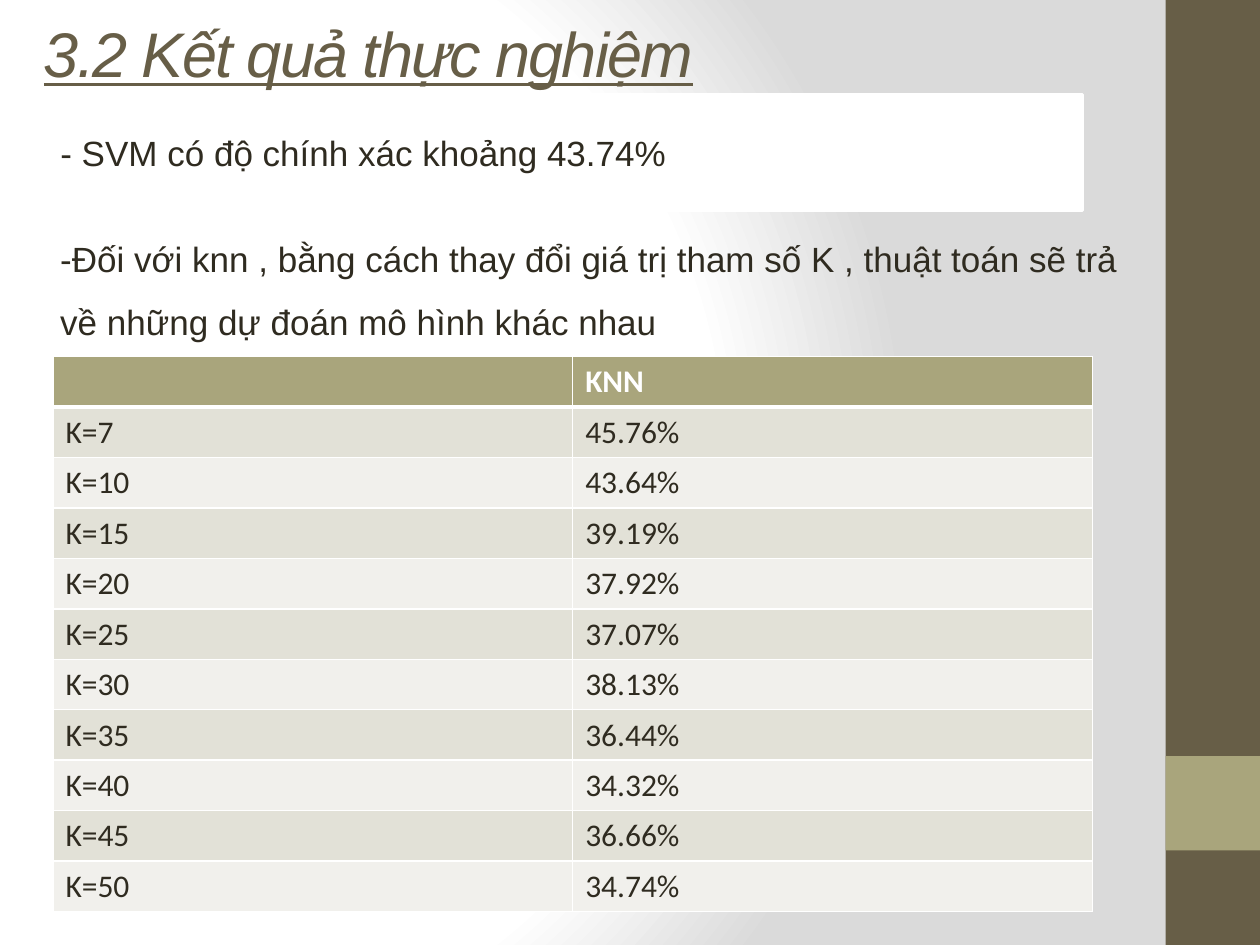
"""Build the slide with the SVM and KNN experiment results."""
from pptx import Presentation
from pptx.dml.color import RGBColor
from pptx.enum.shapes import MSO_SHAPE as Shape
from pptx.enum.text import MSO_ANCHOR as Anchor, PP_ALIGN as Align
from pptx.oxml import parse_xml
from pptx.oxml.ns import nsdecls
from pptx.util import Inches, Pt

BROWN, OLIVE, INK, WHITE = "675E47", "A9A57C", "2F2B20", "FFFFFF"
BANDS = ["E2E1D7", "F1F0EC"]
RESULTS = [
    ("", "KNN"),
    ("K=7", "45.76%"),
    ("K=10", "43.64%"),
    ("K=15", "39.19%"),
    ("K=20", "37.92%"),
    ("K=25", "37.07%"),
    ("K=30", "38.13%"),
    ("K=35", "36.44%"),
    ("K=40", "34.32%"),
    ("K=45", "36.66%"),
    ("K=50", "34.74%"),
]


def color(value):
    return RGBColor.from_string(value)


def style_text(text_frame, text, size, name, value):
    text_frame.text = text
    text_frame.word_wrap = True
    paragraph = text_frame.paragraphs[0]
    paragraph.alignment = Align.LEFT
    for font in [paragraph.font] + [run.font for run in paragraph.runs]:
        font.size = Pt(size)
        font.name = name
        font.color.rgb = color(value)
    return paragraph


presentation = Presentation()
presentation.slide_width = Inches(10)
presentation.slide_height = Inches(7.5)
slide = presentation.slides.add_slide(presentation.slide_layouts[6])

stops = "".join(
    f'<a:gs pos="{position * 1000}"><a:srgbClr val="{value}"/></a:gs>'
    for position, value in [(0, WHITE), (75, WHITE), (100, "DADADA")]
)
slide.element.cSld.insert(0, parse_xml(
    f'<p:bg {nsdecls("p", "a")}><p:bgPr><a:gradFill rotWithShape="1">'
    f'<a:gsLst>{stops}</a:gsLst><a:path path="circle">'
    '<a:fillToRect l="20000" t="50000" r="100000" b="50000"/></a:path>'
    '</a:gradFill><a:effectLst/></p:bgPr></p:bg>'
))

for top, height, value in [(0, 7.5, BROWN), (6, 0.75, OLIVE)]:
    band = slide.shapes.add_shape(
        Shape.RECTANGLE, Inches(9.25), Inches(top), Inches(0.75), Inches(height))
    band.shadow.inherit = False
    band.fill.solid()
    band.fill.fore_color.rgb = color(value)
    band.line.fill.background()

title = slide.shapes.add_textbox(Inches(0.25), Inches(0.08), Inches(6.42), Inches(0.67))
title.text_frame.vertical_anchor = Anchor.MIDDLE
paragraph = style_text(title.text_frame, "3.2 Kết quả thực nghiệm", 36, "Arial", BROWN)
title_run = paragraph.runs[0]
title_run.font.italic = True
title_run.font.underline = True
title_run.font._element.set("spc", "-100")

knn_note = slide.shapes.add_textbox(Inches(0.38), Inches(1.67), Inches(8.67), Inches(1.11))
paragraph = style_text(
    knn_note.text_frame,
    "-Đối với knn , bằng cách thay đổi giá trị tham số K , thuật toán sẽ trả "
    "về những dự đoán mô hình khác nhau",
    20, "Arial", INK)
paragraph.line_spacing = 1.5

table = slide.shapes.add_table(
    len(RESULTS), 2, Inches(0.42), Inches(2.83), Inches(8.25), Inches(4.4)).table
for row, values in enumerate(RESULTS):
    header = row == 0
    for column, text in enumerate(values):
        cell = table.cell(row, column)
        paragraph = style_text(
            cell.text_frame, text, 18, "Calibri", WHITE if header else INK)
        for run in paragraph.runs:
            run.font.bold = header
        cell.fill.solid()
        cell.fill.fore_color.rgb = color(OLIVE if header else BANDS[(row - 1) % 2])
        for index, side in enumerate("LRTB"):
            thick = (header and side == "B") or (row == 1 and side == "T")
            cell._tc.get_or_add_tcPr().insert(index, parse_xml(
                f'<a:ln{side} {nsdecls("a")} w="{Pt(3 if thick else 1)}"><a:solidFill>'
                f'<a:srgbClr val="{WHITE}"/></a:solidFill></a:ln{side}>'
            ))

svm_note = slide.shapes.add_shape(
    Shape.RECTANGLE, Inches(0.38), Inches(0.75), Inches(8.21), Inches(0.92))
svm_note.shadow.inherit = False
svm_note.fill.solid()
svm_note.fill.fore_color.rgb = color(WHITE)
svm_note.line.color.rgb = color(WHITE)
svm_note.line.width = Pt(2)
svm_note.text_frame.vertical_anchor = Anchor.MIDDLE
style_text(svm_note.text_frame, "- SVM có độ chính xác khoảng 43.74%", 20, "Arial", INK)

presentation.save("out.pptx")
